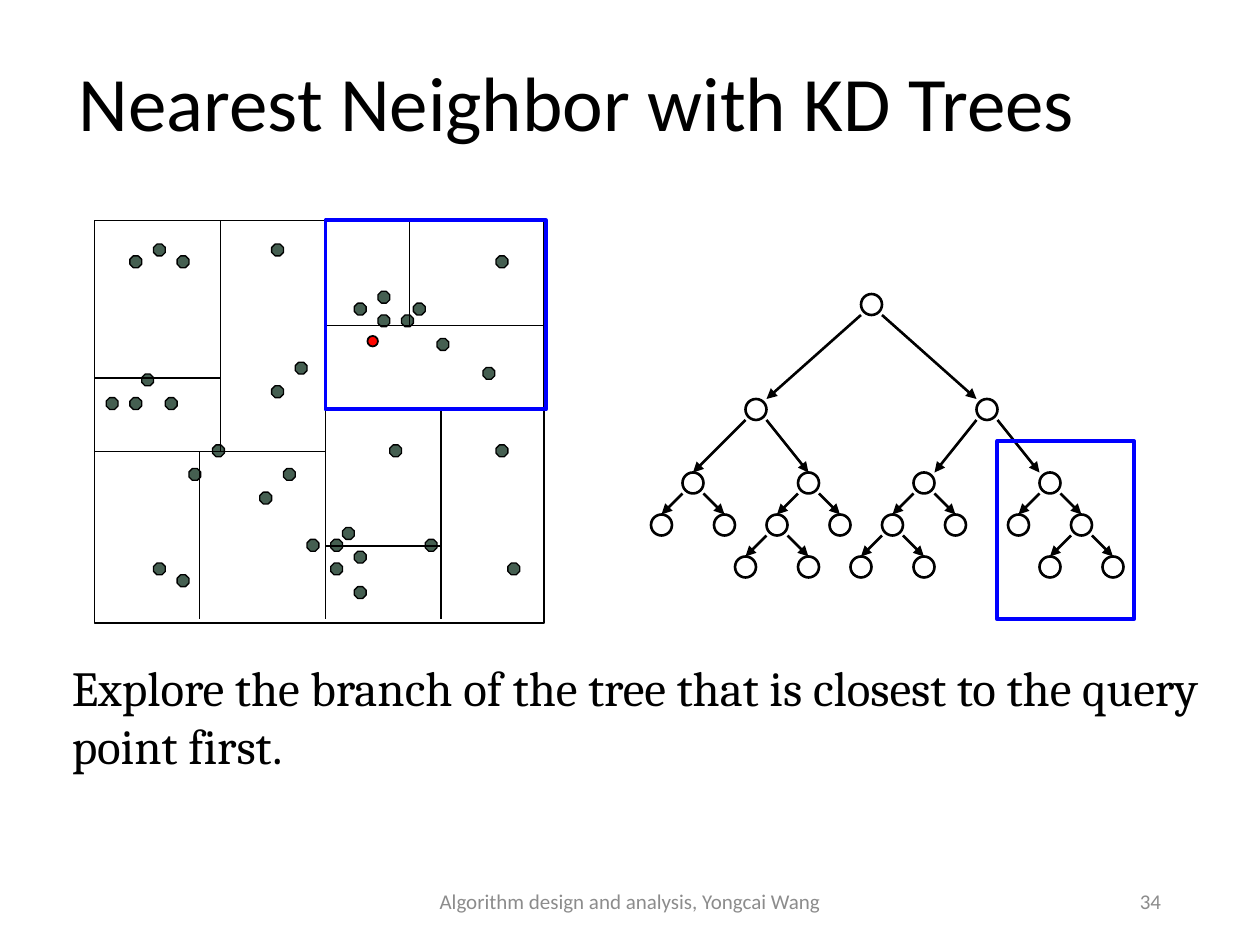
import pptx
import pptx.util
import pptx.dml.color
import pptx.enum.shapes
import pptx.enum.text
import pptx.oxml.ns
import lxml.etree

Pt = pptx.util.Pt
MSO_SHAPE = pptx.enum.shapes.MSO_SHAPE
PP_ALIGN = pptx.enum.text.PP_ALIGN
MSO_ANCHOR = pptx.enum.text.MSO_ANCHOR
COLORS = {"black": "000000", "dot": "455F51", "query": "FF0600",
          "branch": "0000FF", "footer": "8C8C8C"}
U = 6  # grid unit of the partition and the tree, in points

prs = pptx.Presentation()
prs.slide_width, prs.slide_height = Pt(720), Pt(540)
s = prs.slides.add_slide(prs.slide_layouts[6])


def add_text(text, x, y, w, h, size=12, font="Calibri", color="black",
             align=PP_ALIGN.LEFT, anchor=MSO_ANCHOR.MIDDLE, spacing=None):
    tf = s.shapes.add_textbox(Pt(x), Pt(y), Pt(w), Pt(h)).text_frame
    tf.word_wrap = True
    tf.vertical_anchor = anchor
    p = tf.paragraphs[0]
    p.alignment = align
    p.line_spacing = spacing
    r = p.add_run()
    r.text = text
    r.font.size = Pt(size)
    r.font.name = font
    r.font.color.rgb = pptx.dml.color.RGBColor.from_string(COLORS[color])


def draw(kind, x, y, w, h, line="black", width=1, fill=None, arrow=False):
    """Add a preset shape, or a line from (x, y) to (w, h) if kind is None."""
    if kind is None:
        sp = s.shapes.add_connector(pptx.enum.shapes.MSO_CONNECTOR.STRAIGHT,
                                    Pt(x), Pt(y), Pt(w), Pt(h))
    else:
        sp = s.shapes.add_shape(kind, Pt(x), Pt(y), Pt(w), Pt(h))
        sp.shadow.inherit = False
        if fill:
            sp.fill.solid()
            sp.fill.fore_color.rgb = pptx.dml.color.RGBColor.from_string(COLORS[fill])
        else:
            sp.fill.background()
    sp.line.width = Pt(width)
    sp.line.color.rgb = pptx.dml.color.RGBColor.from_string(COLORS[line])
    qn = pptx.oxml.ns.qn
    if arrow:
        lxml.etree.SubElement(sp.line._get_or_add_ln(), qn("a:tailEnd"), type="triangle")
    if kind is None:
        lxml.etree.SubElement(sp._element.spPr, qn("a:effectLst"))
    return sp


# Data points: column and row on a 6.75 pt grid
points = [(12, 11), (14, 13), (11, 13), (30, 5), (9, 13), (29, 24), (28, 25),
          (37, 8), (32, 6), (26, 25), (28, 27), (30, 29), (30, 26), (42, 17),
          (23, 12), (24, 19), (33, 17), (15, 28), (16, 19), (32, 4), (34, 6),
          (35, 5), (36, 25), (13, 27), (18, 17), (25, 10), (22, 21), (15, 1),
          (13, 0), (11, 1), (23, 0), (42, 1), (43, 27)]
dots = [(col * 6.75, 139.5 + row * 6.75) for col, row in points] + [(276, 210)]
for x, y in dots:
    sp = draw(MSO_SHAPE.OCTAGON, x, y, 6.75, 6.75, width=0.75, fill="dot")
    sp.adjustments[0] = 0.29

# Partition of the plane
draw(MSO_SHAPE.RECTANGLE, 54, 126, 257, 230)
for cut in [(31, 21, 31, 59), (31, 39, 52, 39), (42, 39, 42, 59),
            (31, 52, 42, 52), (9, 43, 31, 43), (21, 43, 21, 21),
            (31, 31, 52, 31), (39, 21, 39, 31), (19, 43, 19, 59),
            (9, 36, 21, 36)]:
    draw(None, *[v * U for v in cut])

# Tree: nodes by level (top: lefts), each two units wide
levels = {28: [82], 38: [71, 93], 45: [65, 76, 87, 99],
          49: [62, 68, 73, 79, 84, 90, 96, 102],
          53: [70, 76, 81, 87, 99, 105]}
for top, lefts in levels.items():
    for left in lefts:
        draw(MSO_SHAPE.OVAL, left * U, top * U, 2 * U, 2 * U, width=1.5)

# Arrows: parent left and top, child top, and where the two arrows end
branches = [(82, 28, 38, 73, 93),
            (71, 38, 45, 66, 77), (93, 38, 45, 89, 99),
            (65, 45, 49, 63, 69), (76, 45, 49, 74, 80),
            (87, 45, 49, 85, 91), (99, 45, 49, 97, 103),
            (73, 49, 53, 71, 77), (84, 49, 53, 82, 88), (102, 49, 53, 100, 106)]
for left, top, child_top, end_left, end_right in branches:
    for start, end in [(left, end_left), (left + 2, end_right)]:
        draw(None, start * U, (top + 2) * U, end * U, child_top * U,
             width=1.5, arrow=True)

# Query point and the branch explored first
draw(MSO_SHAPE.OVAL, 210, 192, 6, 6, fill="query")
draw(MSO_SHAPE.RECTANGLE, 186, 126, 126, 108, line="branch", width=2.25)
draw(MSO_SHAPE.RECTANGLE, 570, 252, 78, 102, line="branch", width=2.25)

# Title, explanation and footer
add_text("Nearest Neighbor with KD Trees", 38, 16, 668, 90, size=44, spacing=0.9)
add_text("Explore the branch of the tree that is closest to the query point first.",
         34, 372, 668, 75, size=28, font="Cambria", anchor=MSO_ANCHOR.TOP)
add_text("Algorithm design and analysis, Yongcai Wang", 238.5, 500.5, 243, 28.75,
         color="footer", align=PP_ALIGN.CENTER)
add_text("34", 508.5, 500.5, 162, 28.75, color="footer", align=PP_ALIGN.RIGHT)

prs.save("out.pptx")
